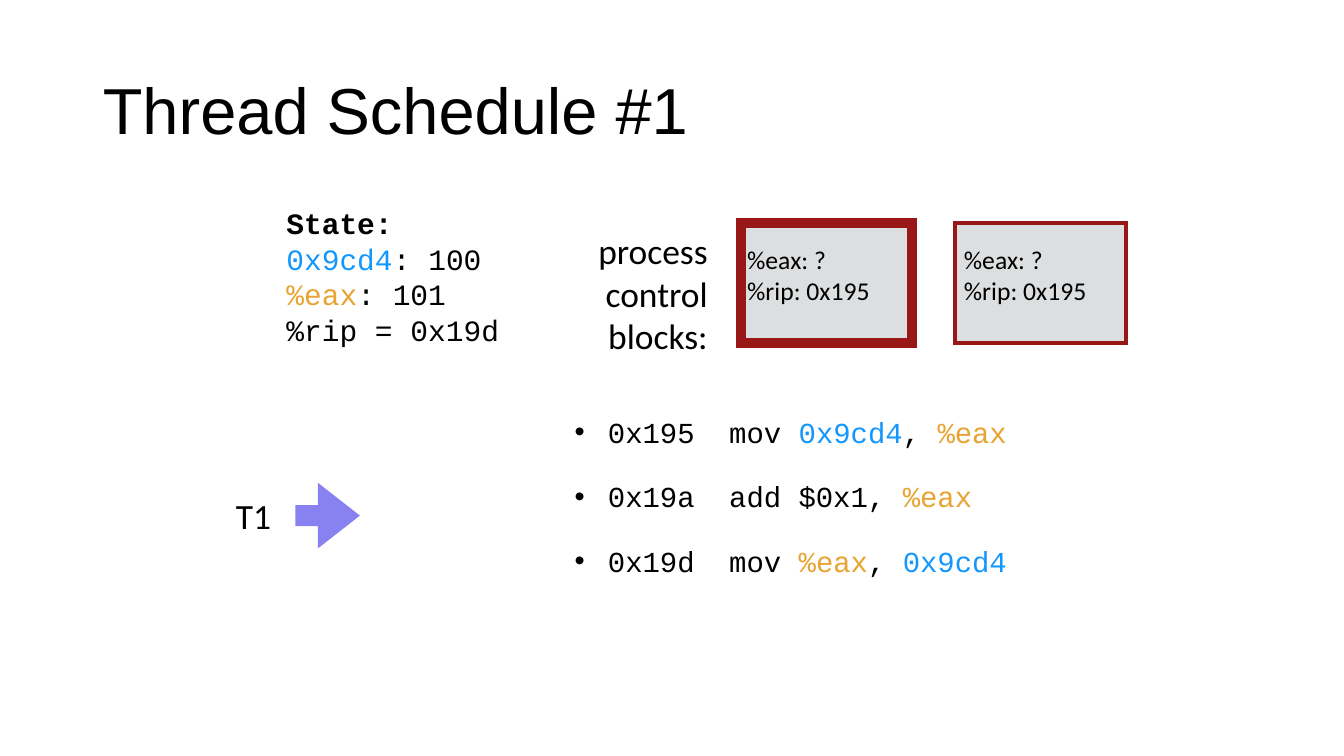
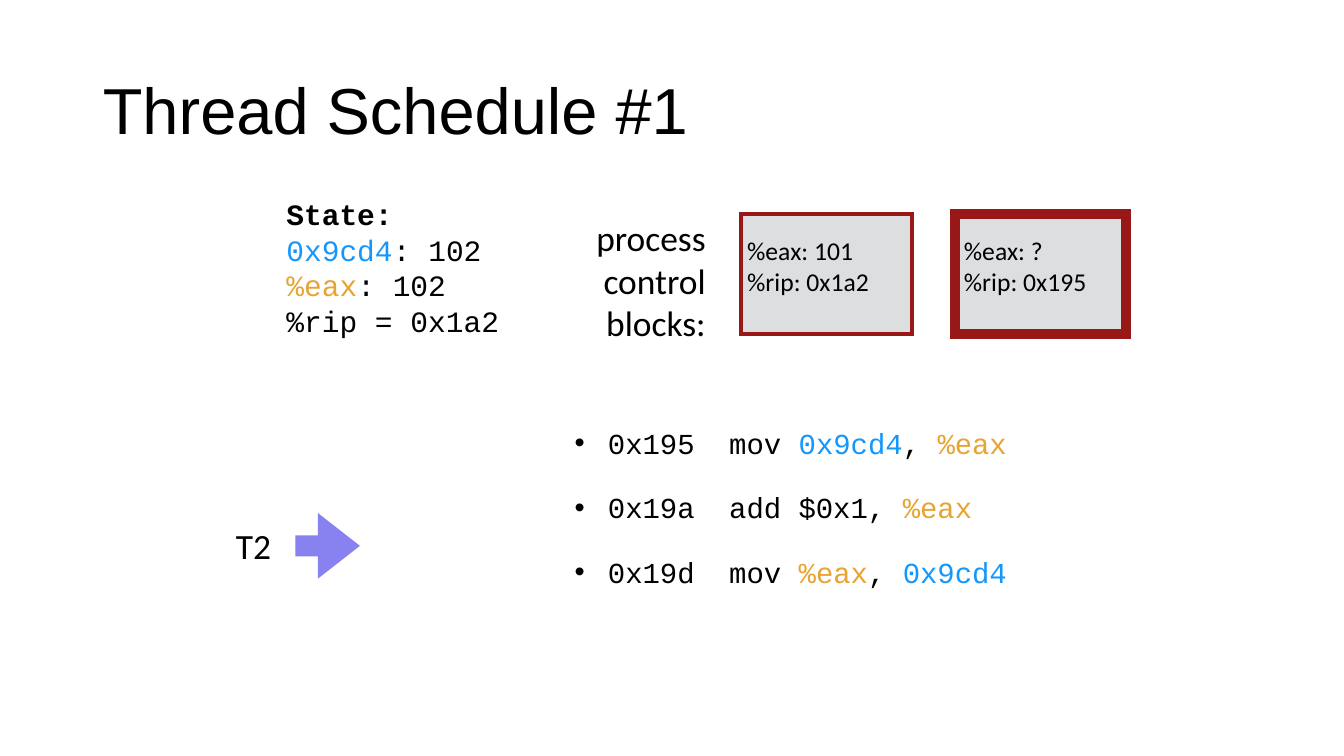
from dataclasses import dataclass, field

from pptx import Presentation
from pptx.dml.color import RGBColor
from pptx.enum.shapes import MSO_SHAPE as Shape
from pptx.enum.text import MSO_ANCHOR as Anchor, MSO_AUTO_SIZE as AutoSize, PP_ALIGN as Align
from pptx.oxml.ns import qn
from pptx.util import Inches, Pt
from lxml.etree import SubElement


@dataclass(frozen=True)
class Theme:
    ink: str = "000000"
    panel: str = "DCDEE0"
    border: str = "971817"
    arrow: str = "8881F0"
    tokens: dict = field(default_factory=lambda: {"0x9cd4": "1497FC", "%eax": "E8A433"})
    title_font: str = "Arial"
    label_font: str = "Calibri"
    code_font: str = "Courier New"
    title_size: float = 46.4
    label_size: float = 25.3
    state_size: float = 21.1
    code_size: float = 20.7
    block_size: float = 18.3
    active_line: float = 7
    idle_line: float = 3


THEME = Theme()

PROGRAM = [
    ["0x195  mov ", "0x9cd4", ", ", "%eax"],
    ["0x19a  add $0x1, ", "%eax"],
    ["0x19d  mov ", "%eax", ", ", "0x9cd4"],
]

SCHEDULE = [
    dict(
        thread="T1", active=0,
        state=[["State:"], ["0x9cd4", ": 100"], ["%eax", ": 101"], ["%rip = 0x19d"]],
        blocks=[["%eax: ?", "%rip: 0x195"], ["%eax: ?", "%rip: 0x195"]],
        state_top=1.99, blocks_top=2.21, label_at=(5.88, 2.23), marker_top=4.79, code_top=4.07,
    ),
    dict(
        thread="T2", active=1,
        state=[["State:"], ["0x9cd4", ": 102"], ["%eax", ": 102"], ["%rip = 0x1a2"]],
        blocks=[["%eax: 101", "%rip: 0x1a2"], ["%eax: ?", "%rip: 0x195"]],
        state_top=1.9, blocks_top=2.12, label_at=(5.86, 2.1), marker_top=5.09, code_top=4.18,
    ),
]


def place(box, left, top, width, height):
    box.left, box.top = Inches(left), Inches(top)
    box.width, box.height = Inches(width), Inches(height)


def set_insets(frame, across, down):
    frame.margin_left = frame.margin_right = Inches(across)
    frame.margin_top = frame.margin_bottom = Inches(down)


def add_bullet(para, indent):
    props = para._p.get_or_add_pPr()
    props.set("marL", str(Inches(indent)))
    props.set("indent", str(-Inches(indent)))
    SubElement(props, qn("a:buFont")).set("typeface", "Arial")
    SubElement(props, qn("a:buChar")).set("char", "•")


def write(frame, lines, *, font, size, align=Align.LEFT, bold_first=False,
          gap=0, line_spacing=None, bullet_indent=None):
    for index, line in enumerate(lines):
        para = frame.add_paragraph() if index else frame.paragraphs[0]
        para.alignment = align
        para.space_before = Pt(gap if index else 0)
        if line_spacing:
            para.line_spacing = line_spacing
        if bullet_indent:
            add_bullet(para, bullet_indent)
        for text in line:
            span = para.add_run()
            span.text = text
            span.font.name = font
            span.font.size = Pt(size)
            span.font.bold = bold_first and index == 0
            span.font.color.rgb = RGBColor.from_string(THEME.tokens.get(text, THEME.ink))


def add_text(page, lines, left, top, width, height, *, inset=0.04, anchor=Anchor.MIDDLE, **style):
    box = page.shapes.add_textbox(Inches(left), Inches(top), Inches(width), Inches(height))
    frame = box.text_frame
    frame.word_wrap = False
    frame.auto_size = AutoSize.SHAPE_TO_FIT_TEXT
    frame.vertical_anchor = anchor
    set_insets(frame, inset, inset)
    write(frame, lines, **style)


def add_filled(page, kind, left, top, width, height, fill):
    shape = page.shapes.add_shape(kind, Inches(left), Inches(top), Inches(width), Inches(height))
    shape.shadow.inherit = False
    shape.fill.solid()
    shape.fill.fore_color.rgb = RGBColor.from_string(fill)
    return shape


def set_title(page, text):
    title = page.shapes.title
    place(title, 0.92, 0.4, 11.5, 1.45)
    title.text_frame.auto_size = AutoSize.NONE
    title.text_frame.vertical_anchor = Anchor.MIDDLE
    write(title.text_frame, [[text]], font=THEME.title_font, size=THEME.title_size,
          line_spacing=0.9)


def add_control_block(page, lines, left, top, text_offset, active):
    panel = add_filled(page, Shape.RECTANGLE, left, top, 1.7, 1.19, THEME.panel)
    panel.line.color.rgb = RGBColor.from_string(THEME.border)
    panel.line.width = Pt(THEME.active_line if active else THEME.idle_line)
    SubElement(panel.line._get_or_add_ln(), qn("a:miter")).set("lim", "800000")
    add_text(page, [[line] for line in lines], left + text_offset, top + 0.21, 1.22, 0.62,
             inset=0, anchor=Anchor.TOP, font=THEME.label_font, size=THEME.block_size)


def add_control_blocks(page, blocks, active, top, label_at):
    add_text(page, [["process"], ["control"], ["blocks:"]], *label_at, 1.18, 1.36,
             font=THEME.label_font, size=THEME.label_size, align=Align.RIGHT)
    for index, (lines, text_offset) in enumerate(zip(blocks, (0.06, 0.09))):
        add_control_block(page, lines, 7.35 + 2.12 * index, top, text_offset, index == active)


def add_thread_marker(page, thread, left, top):
    add_text(page, [[thread]], left, top + 0.07, 0.43, 0.5,
             font=THEME.label_font, size=THEME.label_size)
    arrow = add_filled(page, Shape.RIGHT_ARROW, left + 0.63, top, 0.64, 0.65, THEME.arrow)
    arrow.adjustments[0] = 0.32
    arrow.adjustments[1] = 0.65
    arrow.line.fill.background()


def set_program(page, top):
    body = page.placeholders[1]
    place(body, 5.63, top, 6.04, 1.51)
    frame = body.text_frame
    frame.word_wrap = True
    frame.auto_size = AutoSize.NONE
    frame.vertical_anchor = Anchor.TOP
    set_insets(frame, 0.07, 0.04)
    write(frame, PROGRAM, font=THEME.code_font, size=THEME.code_size,
          gap=21.3, bullet_indent=0.33)


def add_schedule_slide(deck, step):
    page = deck.slides.add_slide(deck.slide_layouts[1])
    set_title(page, "Thread Schedule #1")
    add_text(page, step["state"], 2.8, step["state_top"], 2.22, 1.5,
             font=THEME.code_font, size=THEME.state_size, bold_first=True)
    add_control_blocks(page, step["blocks"], step["active"], step["blocks_top"], step["label_at"])
    add_thread_marker(page, step["thread"], 2.3, step["marker_top"])
    set_program(page, step["code_top"])


def main():
    deck = Presentation()
    deck.slide_width, deck.slide_height = Inches(13.33), Inches(7.5)
    for step in SCHEDULE:
        add_schedule_slide(deck, step)
    deck.save("out.pptx")


if __name__ == "__main__":
    main()
